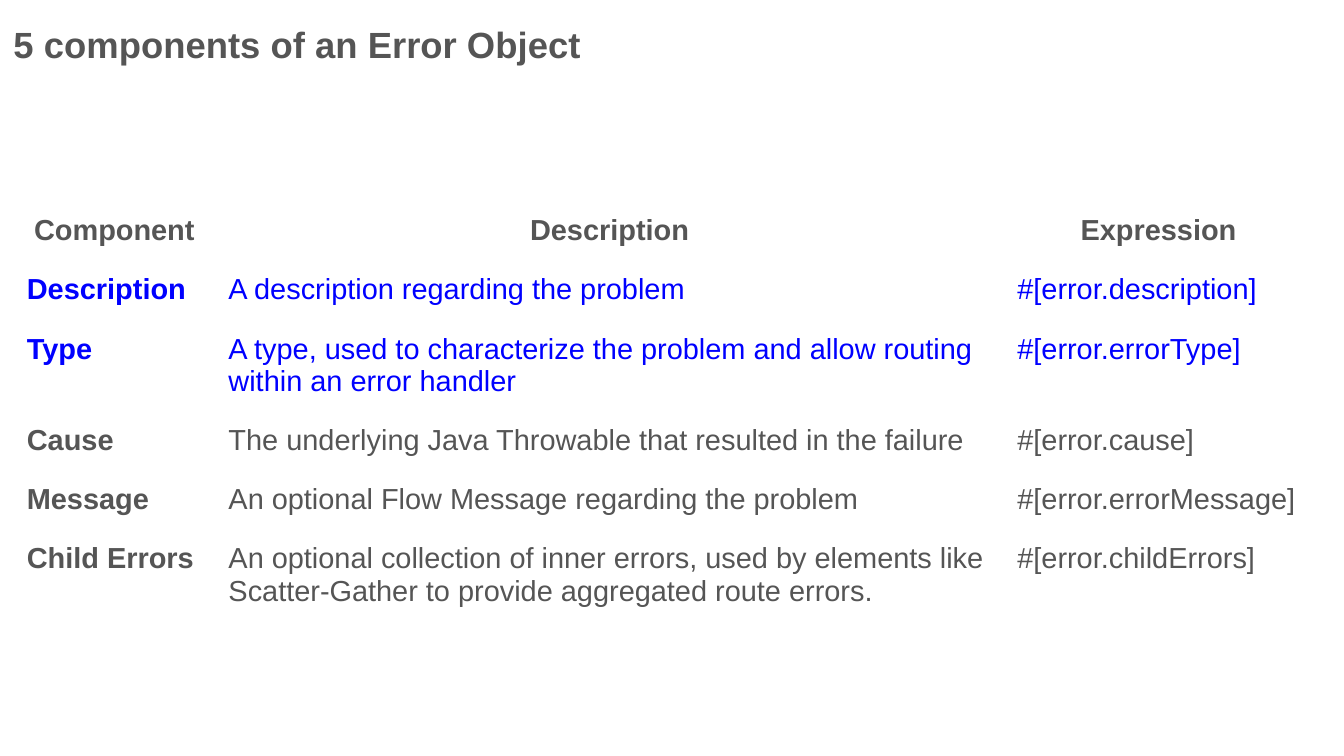
"""Build a slide that lists the five components of an error object."""
from pptx import Presentation
from pptx.dml.color import RGBColor
from pptx.enum.text import MSO_ANCHOR, MSO_AUTO_SIZE, PP_ALIGN
from pptx.util import Inches, Pt

TOP = MSO_ANCHOR.TOP
FIXED = MSO_AUTO_SIZE.NONE
LEFT, CENTER = PP_ALIGN.LEFT, PP_ALIGN.CENTER

TITLE = "5 components of an Error Object"
HEAD = ("Component", "Description", "Expression")
ROWS = [
    ("Description", "A description regarding the problem", "#[error.description]"),
    ("Type", "A type, used to characterize the problem and allow routing within an error handler",
     "#[error.errorType]"),
    ("Cause", "The underlying Java Throwable that resulted in the failure", "#[error.cause]"),
    ("Message", "An optional Flow Message regarding the problem", "#[error.errorMessage]"),
    ("Child Errors", "An optional collection of inner errors, used by elements like "
     "Scatter-Gather to provide aggregated route errors.", "#[error.childErrors]"),
]
MARKED = {"Description", "Type"}
WIDTHS = (1.5, 5.87, 2.3)
HEIGHTS = (0.45, 0.43, 0.43, 0.43, 0.43, 0.63)
COLORS = {"text": "555555", "mark": "0000FF", "back": "FFFFFF"}
FONT = "Arial"
INSET = Inches(0.1)
WIDE = Inches(10)
HIGH = WIDE * 9 // 16


def write(para, text, size, color, bold):
    run = para.add_run()
    run.text = text
    font = run.font
    font.name, font.size, font.bold = FONT, Pt(size), bold
    font.color.rgb = RGBColor.from_string(COLORS[color])


def pad(box):
    box.margin_left = box.margin_right = INSET
    box.margin_top = box.margin_bottom = INSET


def add_title(slide):
    title = slide.shapes.title
    title.left, title.top = Inches(0), Inches(0)
    title.width, title.height = WIDE, Inches(1.24)
    frame = title.text_frame
    frame.auto_size, frame.vertical_anchor, frame.word_wrap = FIXED, TOP, True
    pad(frame)
    para = frame.paragraphs[0]
    para.alignment, para.line_spacing = LEFT, 1.2
    para.space_before, para.space_after = Pt(30), Pt(4)
    write(para, TITLE, 19.5, "text", True)


def add_grid(slide):
    data = [HEAD] + ROWS
    table = slide.shapes.add_table(
        len(data), len(HEAD), Inches(0.1), Inches(1.46),
        Inches(sum(WIDTHS)), Inches(sum(HEIGHTS))).table
    table.horz_banding = False
    for col, width in zip(table.columns, WIDTHS):
        col.width = Inches(width)
    for r, (row, height) in enumerate(zip(data, HEIGHTS)):
        table.rows[r].height = Inches(height)
        color = "mark" if r and row[0] in MARKED else "text"
        for c, text in enumerate(row):
            cell = table.cell(r, c)
            pad(cell)
            cell.fill.solid()
            cell.fill.fore_color.rgb = RGBColor.from_string(COLORS["back"])
            para = cell.text_frame.paragraphs[0]
            para.alignment = LEFT if r else CENTER
            para.line_spacing = 1.0 if r else 1.15
            write(para, text, 15.5, color, r == 0 or c == 0)


def main():
    deck = Presentation()
    deck.slide_width, deck.slide_height = WIDE, HIGH
    slide = deck.slides.add_slide(deck.slide_layouts[5])
    add_grid(slide)
    add_title(slide)
    deck.save("out.pptx")


if __name__ == "__main__":
    main()
